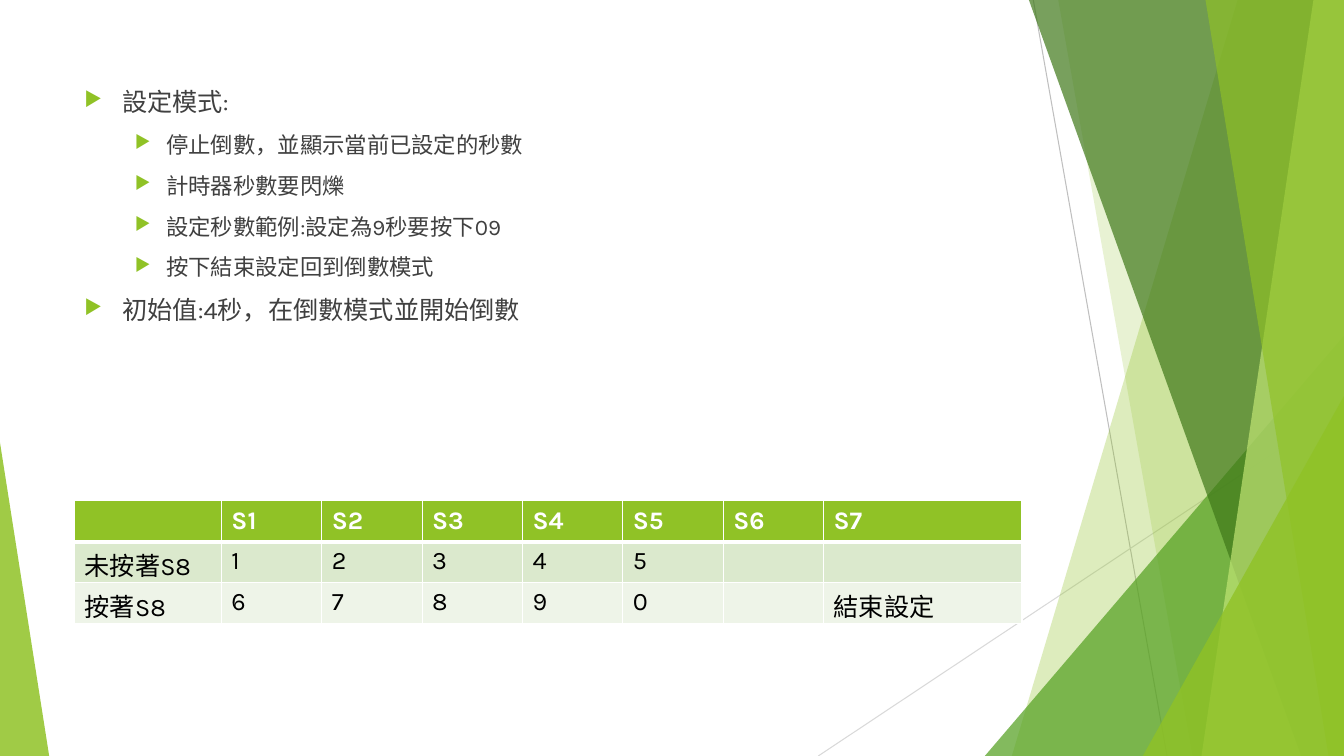
from dataclasses import dataclass

from lxml.etree import SubElement
from pptx import Presentation
from pptx.dml.color import RGBColor
from pptx.enum.shapes import MSO_CONNECTOR, MSO_SHAPE
from pptx.oxml.ns import qn
from pptx.util import Cm, Pt


@dataclass(frozen=True)
class Theme:
    """Colours, font and type sizes of the slide."""
    font: str = "Karla"
    green: str = "90C226"
    leaf: str = "54A021"
    forest: str = "3F7819"
    lime: str = "C0E474"
    text: str = "404040"
    black: str = "000000"
    white: str = "FFFFFF"
    line_dark: str = "BFBFBF"
    line_light: str = "D9D9D9"
    bands: tuple = ("DBE9CD", "EEF4E8")
    body_sizes: tuple = (18, 16)
    table_size: int = 18


@dataclass(frozen=True)
class Box:
    """A region of the slide in centimetres."""
    left: float
    top: float
    width: float
    height: float


THEME = Theme()
PAGE_WIDTH, PAGE_HEIGHT = 33.87, 19.05
BODY = Box(1.88, 2.06, 23.88, 12.7)
TABLE = Box(1.88, 12.62, 23.88, 3.09)
RIGHT_PANEL = Box(24.82, 0, 9.05, PAGE_HEIGHT)
LEFT_CORNER = Box(0, 11.15, 1.24, 7.9)

BODY_ITEMS = [
    (0, "設定模式:"),
    (1, "停止倒數，並顯示當前已設定的秒數"),
    (1, "計時器秒數要閃爍"),
    (1, "設定秒數範例:設定為9秒要按下09"),
    (1, "按下結束設定回到倒數模式"),
    (0, "初始值:4秒，在倒數模式並開始倒數"),
]
BODY_INDENTS = [(0.95, 0.95), (2.06, 0.79)]
KEY_ROWS = [
    ["", "S1", "S2", "S3", "S4", "S5", "S6", "S7"],
    ["未按著S8", "1", "2", "3", "4", "5", "", ""],
    ["按著S8", "6", "7", "8", "9", "0", "", "結束設定"],
]
FIRST_COLUMN, KEY_COLUMN = 3.7, 2.53


def write_text(paragraph, text, size, color, bold=False):
    """Add a formatted run to a paragraph."""
    run = paragraph.add_run()
    run.text = text
    run.font.name = THEME.font
    run.font.size = Pt(size)
    run.font.bold = bold
    run.font.color.rgb = RGBColor.from_string(color)


def paint(shape, color, opacity):
    """Give a shape a translucent fill without outline or shadow."""
    shape.shadow.inherit = False
    shape.line.fill.background()
    shape.fill.solid()
    shape.fill.fore_color.rgb = RGBColor.from_string(color)
    fill_color = shape.fill._xPr.find(qn("a:solidFill"))[0]
    SubElement(fill_color, qn("a:alpha"), val=str(opacity * 1000))


def add_ray(slide, box, start, end, color):
    """Draw a thin line between two points of the box."""
    ray = slide.shapes.add_connector(
        MSO_CONNECTOR.STRAIGHT,
        Cm(box.left + start[0]), Cm(box.top + start[1]),
        Cm(box.left + end[0]), Cm(box.top + end[1]))
    ray.line.color.rgb = RGBColor.from_string(color)
    ray.line.width = Pt(0.75)
    SubElement(ray._element.spPr, qn("a:effectLst"))


def add_facet(slide, box, top_x, bottom_x, color, opacity):
    """Fill the box to the right of a slanted edge."""
    right, bottom = box.left + box.width, box.top + box.height
    builder = slide.shapes.build_freeform(Cm(box.left + top_x), Cm(box.top))
    builder.add_line_segments([
        (Cm(right), Cm(box.top)), (Cm(right), Cm(bottom)),
        (Cm(box.left + bottom_x), Cm(bottom))], close=True)
    paint(builder.convert_to_shape(), color, opacity)


def add_corner(slide, box, apex, color, opacity):
    """Fill the box with a right-angled triangle."""
    corner = slide.shapes.add_shape(
        MSO_SHAPE.ISOSCELES_TRIANGLE,
        Cm(box.left), Cm(box.top), Cm(box.width), Cm(box.height))
    corner.adjustments[0] = apex
    paint(corner, color, opacity)


def add_right_corner(slide, box, left, top, color, opacity):
    """Place a triangle in the lower right of the box."""
    corner = Box(box.left + left, box.top + top, box.width - left, box.height - top)
    add_corner(slide, corner, 1, color, opacity)


def add_right_panel(slide, box):
    """Layer the rays and green facets of the right side."""
    add_ray(slide, box, (1.22, 0), (4.59, box.height), THEME.line_dark)
    add_ray(slide, box, (box.width, 10.24), (-4.2, box.height), THEME.line_light)
    add_facet(slide, box, 6.37, 0.68, THEME.green, 30)
    add_facet(slide, box, 1.85, 5.23, THEME.green, 20)
    add_right_corner(slide, box, 0, 8.46, THEME.leaf, 72)
    add_facet(slide, box, 1.11, 7.97, THEME.forest, 70)
    add_facet(slide, box, 8.28, 5.46, THEME.lime, 70)
    add_facet(slide, box, 5.56, 8.66, THEME.green, 65)
    add_right_corner(slide, box, 3.98, 9.98, THEME.green, 80)


def add_bullet(paragraph, level):
    """Indent a paragraph and give it a green arrow bullet."""
    margin, hanging = BODY_INDENTS[level]
    properties = paragraph._p.get_or_add_pPr()
    properties.set("marL", str(Cm(margin)))
    properties.set("indent", str(-Cm(hanging)))
    bullet_color = SubElement(properties, qn("a:buClr"))
    SubElement(bullet_color, qn("a:srgbClr"), val=THEME.green)
    SubElement(properties, qn("a:buSzPct"), val="80000")
    SubElement(properties, qn("a:buChar"), char="▶")


def add_body(slide, box):
    """Write the bulleted list."""
    frame = slide.shapes.add_textbox(
        Cm(box.left), Cm(box.top), Cm(box.width), Cm(box.height)).text_frame
    frame.word_wrap = True
    for index, (level, text) in enumerate(BODY_ITEMS):
        paragraph = frame.add_paragraph() if index else frame.paragraphs[0]
        paragraph.level = level
        paragraph.space_before = Pt(10)
        add_bullet(paragraph, level)
        write_text(paragraph, text, THEME.body_sizes[level], THEME.text)


def set_borders(cell, top, bottom):
    """Give a cell white borders, widths in points."""
    properties = cell._tc.get_or_add_tcPr()
    widths = {"a:lnL": 1, "a:lnR": 1, "a:lnT": top, "a:lnB": bottom}
    for index, (tag, width) in enumerate(widths.items()):
        border = SubElement(properties, qn(tag), w=str(Pt(width)))
        fill = SubElement(border, qn("a:solidFill"))
        SubElement(fill, qn("a:srgbClr"), val=THEME.white)
        properties.insert(index, border)


def add_key_table(slide, box):
    """Build the table of key functions."""
    table = slide.shapes.add_table(
        len(KEY_ROWS), len(KEY_ROWS[0]),
        Cm(box.left), Cm(box.top), Cm(box.width), Cm(box.height)).table
    last_column = box.width - FIRST_COLUMN - 6 * KEY_COLUMN
    for column, width in zip(table.columns, [FIRST_COLUMN, *[KEY_COLUMN] * 6, last_column]):
        column.width = Cm(width)
    fills = (THEME.green, *THEME.bands)
    for row_index, texts in enumerate(KEY_ROWS):
        header = row_index == 0
        for column_index, text in enumerate(texts):
            cell = table.cell(row_index, column_index)
            cell.fill.solid()
            cell.fill.fore_color.rgb = RGBColor.from_string(fills[row_index])
            set_borders(cell, top=3 if row_index == 1 else 1, bottom=3 if header else 1)
            if text:
                write_text(cell.text_frame.paragraphs[0], text, THEME.table_size,
                           THEME.white if header else THEME.black, bold=header)


def main():
    """Build and save the slide."""
    presentation = Presentation()
    presentation.slide_width, presentation.slide_height = Cm(PAGE_WIDTH), Cm(PAGE_HEIGHT)
    slide = presentation.slides.add_slide(presentation.slide_layouts[6])
    add_right_panel(slide, RIGHT_PANEL)
    add_corner(slide, LEFT_CORNER, 0, THEME.green, 85)
    add_body(slide, BODY)
    add_key_table(slide, TABLE)
    presentation.save("out.pptx")


if __name__ == "__main__":
    main()
